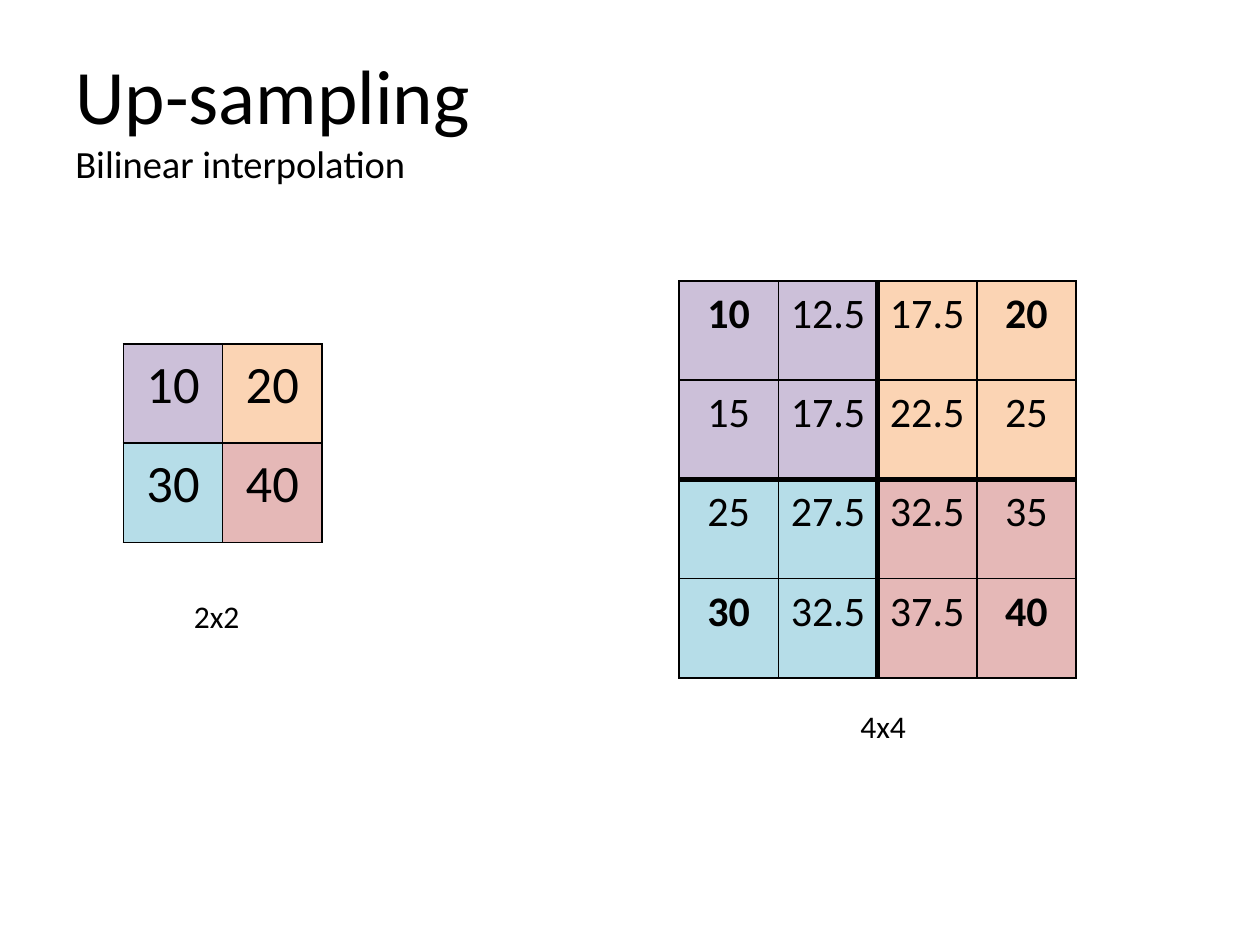
import pptx
import pptx.util
import pptx.dml.color
import pptx.enum.text
import pptx.oxml
import pptx.oxml.ns

Inches = pptx.util.Inches
Pt = pptx.util.Pt
ALIGN = pptx.enum.text.PP_ALIGN
ANCHOR = pptx.enum.text.MSO_ANCHOR

# Content
COLORS = {"ink": "000000", "violet": "CCC0D9", "orange": "FBD4B4",
          "blue": "B6DDE8", "rose": "E5B8B7"}
FONT = "Calibri"
QUADRANTS = [["violet", "orange"], ["blue", "rose"]]
HEADING = [("Up-sampling", 44), ("Bilinear interpolation", 22)]
HEADING_AT = (0.5, 0.3, 9, 1.25)
GRIDS = [
    {"at": (0.98, 2.73), "size": 30, "bold_corners": False, "middle": 1,
     "values": [["10", "20"],
                ["30", "40"]]},
    {"at": (5.39, 2.23), "size": 24, "bold_corners": True, "middle": 3,
     "values": [["10", "12.5", "17.5", "20"],
                ["15", "17.5", "22.5", "25"],
                ["25", "27.5", "32.5", "35"],
                ["30", "32.5", "37.5", "40"]]},
]
CAPTIONS = [("2x2", (1.44, 4.69, 0.57, 0.4)), ("4x4", (6.73, 5.56, 0.57, 0.4))]
CELL = 0.7875
CELL_FORMAT = {"margin_left": Inches(0.07), "margin_right": Inches(0.07),
               "margin_top": 0, "margin_bottom": 0, "vertical_anchor": ANCHOR.TOP}


def rgb(name):
    return pptx.dml.color.RGBColor.from_string(COLORS[name])


def set_all(target, values):
    for name, value in values.items():
        setattr(target, name, value)


def add_span(para, text, size, bold=False):
    span = para.add_run()
    span.text = text
    set_all(span.font, {"name": FONT, "size": Pt(size), "bold": bold})
    span.font.color.rgb = rgb("ink")


def add_box(page, at, lines, wrap, anchor):
    box = page.shapes.add_textbox(*map(Inches, at))
    set_all(box.text_frame, {"word_wrap": wrap, "vertical_anchor": anchor})
    para = box.text_frame.paragraphs[0]
    for index, (text, size) in enumerate(lines):
        if index:
            para.add_line_break()
        add_span(para, text, size)
    return box


def set_borders(cell, widths):
    properties = cell._tc.get_or_add_tcPr()
    for side in "LRTB":
        properties.append(pptx.oxml.parse_xml(
            f'<a:ln{side} {pptx.oxml.ns.nsdecls("a")} w="{Pt(widths[side])}">'
            f'<a:solidFill><a:srgbClr val="{COLORS["ink"]}"/></a:solidFill>'
            f'</a:ln{side}>'))


def add_grid(page, grid):
    values = grid["values"]
    count = len(values)
    half = count // 2
    side = Inches(CELL * count)
    left, top = map(Inches, grid["at"])
    table = page.shapes.add_table(count, count, left, top, side, side).table
    set_all(table, {"first_row": False, "horz_banding": False})
    for index in range(count):
        table.columns[index].width = Inches(CELL)
        table.rows[index].height = Inches(CELL)

    def line(edge):
        return grid["middle"] if edge == half else 1

    for row, texts in enumerate(values):
        for column, text in enumerate(texts):
            cell = table.cell(row, column)
            set_all(cell, CELL_FORMAT)
            set_borders(cell, {"L": line(column), "R": line(column + 1),
                               "T": line(row), "B": line(row + 1)})
            cell.fill.solid()
            cell.fill.fore_color.rgb = rgb(QUADRANTS[row // half][column // half])
            para = cell.text_frame.paragraphs[0]
            set_all(para, {"alignment": ALIGN.CENTER, "line_spacing": 1.15})
            corner = row in (0, count - 1) and column in (0, count - 1)
            add_span(para, text, grid["size"], corner and grid["bold_corners"])


def main():
    deck = pptx.Presentation()
    set_all(deck, {"slide_width": Inches(10), "slide_height": Inches(7.5)})
    page = deck.slides.add_slide(deck.slide_layouts[6])

    # Heading
    add_box(page, HEADING_AT, HEADING, True, ANCHOR.MIDDLE)

    # Pixel grids
    for grid in GRIDS:
        add_grid(page, grid)

    # Grid captions
    for text, at in CAPTIONS:
        box = add_box(page, at, [(text, 18)], False, ANCHOR.TOP)
        box.text_frame.auto_size = pptx.enum.text.MSO_AUTO_SIZE.SHAPE_TO_FIT_TEXT

    deck.save("out.pptx")


if __name__ == "__main__":
    main()
